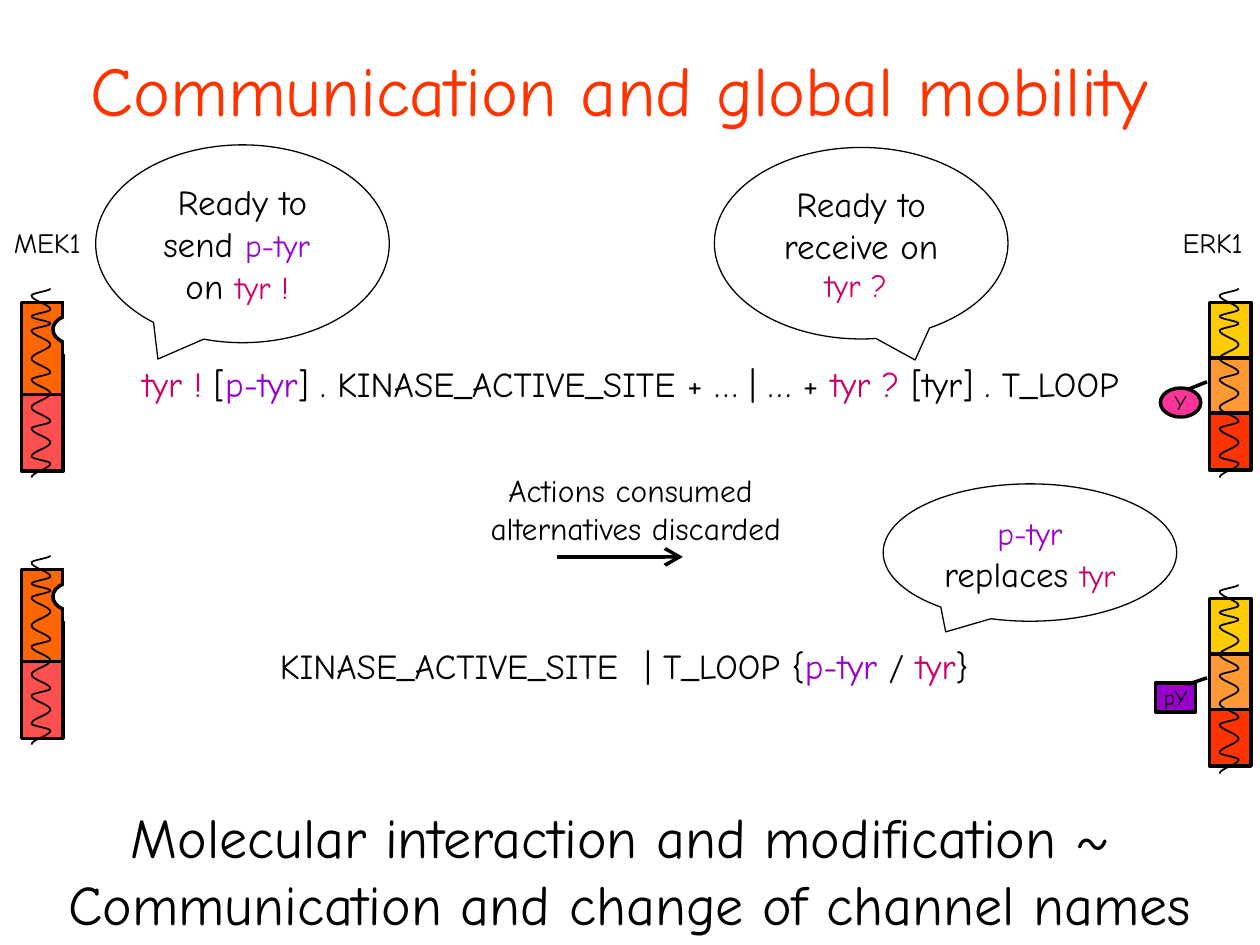
from math import cos, pi
from lxml import etree
from pptx import Presentation
from pptx import util as u
from pptx.dml.color import RGBColor
from pptx.enum import shapes, text
from pptx.oxml.ns import qn

HUES = {"black": "000000", "white": "FFFFFF", "title": "FF3300",
        "send": "9900CC", "tyr": "CC0066", "pink": "FF3399",
        "orange": "FF6600", "coral": "FF5050", "yellow": "FFCC00",
        "amber": "FF9933", "red": "FF3300"}
KIND = shapes.MSO_SHAPE

deck = Presentation()
deck.slide_width, deck.slide_height = u.Inches(10), u.Inches(7.5)
slide = deck.slides.add_slide(deck.slide_layouts[6])
parts = slide.shapes


def draw(kind, box, fill=None, width=0):
    """Add a preset shape, or a text box if kind is None."""
    spot = [u.Inches(n) for n in box]
    if kind is None:
        return parts.add_textbox(*spot)
    item = parts.add_shape(kind, *spot)
    item.shadow.inherit = False
    if fill:
        item.fill.solid()
        item.fill.fore_color.rgb = RGBColor.from_string(HUES[fill])
    else:
        item.fill.background()
    if width:
        item.line.width = u.Pt(width)
        item.line.color.rgb = RGBColor.from_string(HUES["black"])
    else:
        item.line.fill.background()
    return item


def write(item, runs, gap=0, middle=True, wrap=False, side=0.1):
    """Fill a shape with centred runs of (words, size, hue)."""
    frame = item.text_frame
    frame.word_wrap = wrap
    anchor = text.MSO_ANCHOR
    frame.vertical_anchor = anchor.MIDDLE if middle else anchor.TOP
    frame.margin_left = frame.margin_right = u.Inches(side)
    frame.margin_top = frame.margin_bottom = u.Inches(0.05)
    para = frame.paragraphs[0]
    para.alignment = text.PP_ALIGN.CENTER
    para.space_before = u.Pt(gap)
    for words, size, hue in runs:
        for row, line in enumerate(words.split("\n")):
            if row:
                para.add_line_break()
            run = para.add_run()
            run.text = line
            run.font.name = "Comic Neue"
            run.font.size = u.Pt(size)
            run.font.color.rgb = RGBColor.from_string(HUES[hue])
    return para


# Headline and closing lines
write(draw(None, (0, 0.08, 9.83, 1.25)),
      [("Communication and global mobility", 40, "title")], wrap=True)
write(draw(None, (0.44, 6.32, 9.12, 1.17)),
      [("Molecular interaction and modification ~ \n"
        "Communication and change of channel names", 32, "black")],
      20, middle=False)

# Process terms before and after the reaction
write(draw(None, (0.13, 2.83, 9.75, 0.58)),
      [("tyr !", 20, "tyr"), (" [", 20, "black"), ("p-tyr", 20, "send"),
       ("] . KINASE_ACTIVE_SITE + … | … + ", 20, "black"),
       ("tyr ?", 20, "tyr"), (" [tyr] . T_LOOP", 20, "black")],
      12.5, middle=False, wrap=True)
result = draw(None, (2.13, 5.01, 5.65, 0.5))
after = write(result,
              [("KINASE_ACTIVE_SITE", 20, "black"), (" ", 24, "black"),
               ("| T_LOOP {", 20, "black"), ("p-tyr ", 20, "send"),
               ("/ ", 20, "black"), ("tyr", 20, "tyr"), ("}", 20, "black")],
              12.5, middle=False, side=0)
after.runs[1].font._element.set("spc", "700")
result.text_frame.auto_size = text.MSO_AUTO_SIZE.SHAPE_TO_FIT_TEXT
write(draw(None, (2.92, 3.75, 4.25, 0.58)),
      [("Actions consumed \nalternatives discarded", 18, "black")], 11.2)

# Protein names
for name, left in (("MEK1", 0), ("ERK1", 9.25)):
    write(draw(KIND.RECTANGLE, (left, 1.63, 0.75, 0.58), "white"),
          [(name, 16, "black")], 10)

# Proteins: stacked domains with a coil running through them
mek = [("orange", 0.73), ("coral", 0.61)]
erk = [("yellow", 0.44), ("amber", 0.44), ("red", 0.45)]
turns = [1, 2, 1, 1, 1, 2, 2, 2, 1, 2, 2, 2, 1, 2, 2, 1, 2]
unit = 1.5 / sum(turns)
for left, top, bands in ((0.17, 2.4, mek), (0.17, 4.52, mek),
                         (9.6, 2.4, erk), (9.6, 4.75, erk)):
    y = top
    for hue, high in bands:
        draw(KIND.RECTANGLE, (left, y, 0.33, high), hue, 2)
        y += high
    y = top - 0.11
    points = [(left + 0.23, y)]
    for count, turn in enumerate(turns):
        for step in range(1, 9):
            swing = cos(pi * (count + step / 8))
            points.append((left + 0.155 + 0.075 * swing,
                           y + turn * unit * step / 8))
        y += turn * unit
    points = [(u.Inches(a), u.Inches(b)) for a, b in points]
    pen = parts.build_freeform(*points[0])
    pen.add_line_segments(points[1:], close=False)
    coil = pen.convert_to_shape()
    coil.shadow.inherit = False
    coil.fill.background()
    coil.line.width = u.Pt(1)
    coil.line.color.rgb = RGBColor.from_string(HUES["black"])
    if bands is mek:
        draw(KIND.OVAL, (0.42, top + 0.1, 0.32, 0.23), "white", 2)
        draw(KIND.RECTANGLE, (0.51, top - 0.01, 0.33, 0.42), "white")

# Tyrosine tags
for kind, left, top, hue, name in (
        (KIND.OVAL, 9.21, 3.08, "pink", "Y"),
        (KIND.RECTANGLE, 9.17, 5.42, "send", "pY")):
    write(draw(kind, (left, top, 0.32, 0.23), hue, 2),
          [(name, 12, "black")], 7.5)

# Tag stems and the reaction arrow
for x1, y1, x2, y2, head in ((9.58, 3.03, 9.43, 3.09, False),
                             (9.58, 5.38, 9.43, 5.43, False),
                             (4.42, 4.42, 5.42, 4.42, True)):
    link = parts.add_connector(shapes.MSO_CONNECTOR.STRAIGHT,
                               *[u.Inches(n) for n in (x1, y1, x2, y2)])
    link.line.width = u.Pt(2)
    link.line.color.rgb = RGBColor.from_string(HUES["black"])
    if head:
        etree.SubElement(link.line._get_or_add_ln(), qn("a:tailEnd"),
                         type="arrow", w="lg", len="lg")
    etree.SubElement(link._element.spPr, qn("a:effectLst"))

# Speech balloons
for box, tip, runs in (
        ((0.76, 1.15, 2.33, 1.57), (-0.288, 0.583),
         [("Ready to send ", 20, "black"), ("p-tyr", 18, "send"),
          (" \non ", 20, "black"), ("tyr ! ", 18, "tyr")]),
        ((5.67, 1.17, 2.33, 1.52), (0.184, 0.61),
         [("Ready to receive on ", 20, "black"), ("tyr ? ", 18, "tyr")]),
        ((7.01, 3.84, 2.33, 1.09), (-0.287, 0.578),
         [("p-tyr", 18, "send"), (" replaces ", 20, "black"),
          ("tyr", 18, "tyr")])):
    balloon = draw(KIND.OVAL_CALLOUT, box, None, 0.75)
    balloon.adjustments[0], balloon.adjustments[1] = tip
    write(balloon, runs, 11.2, wrap=True, side=0.05)

deck.save("out.pptx")
